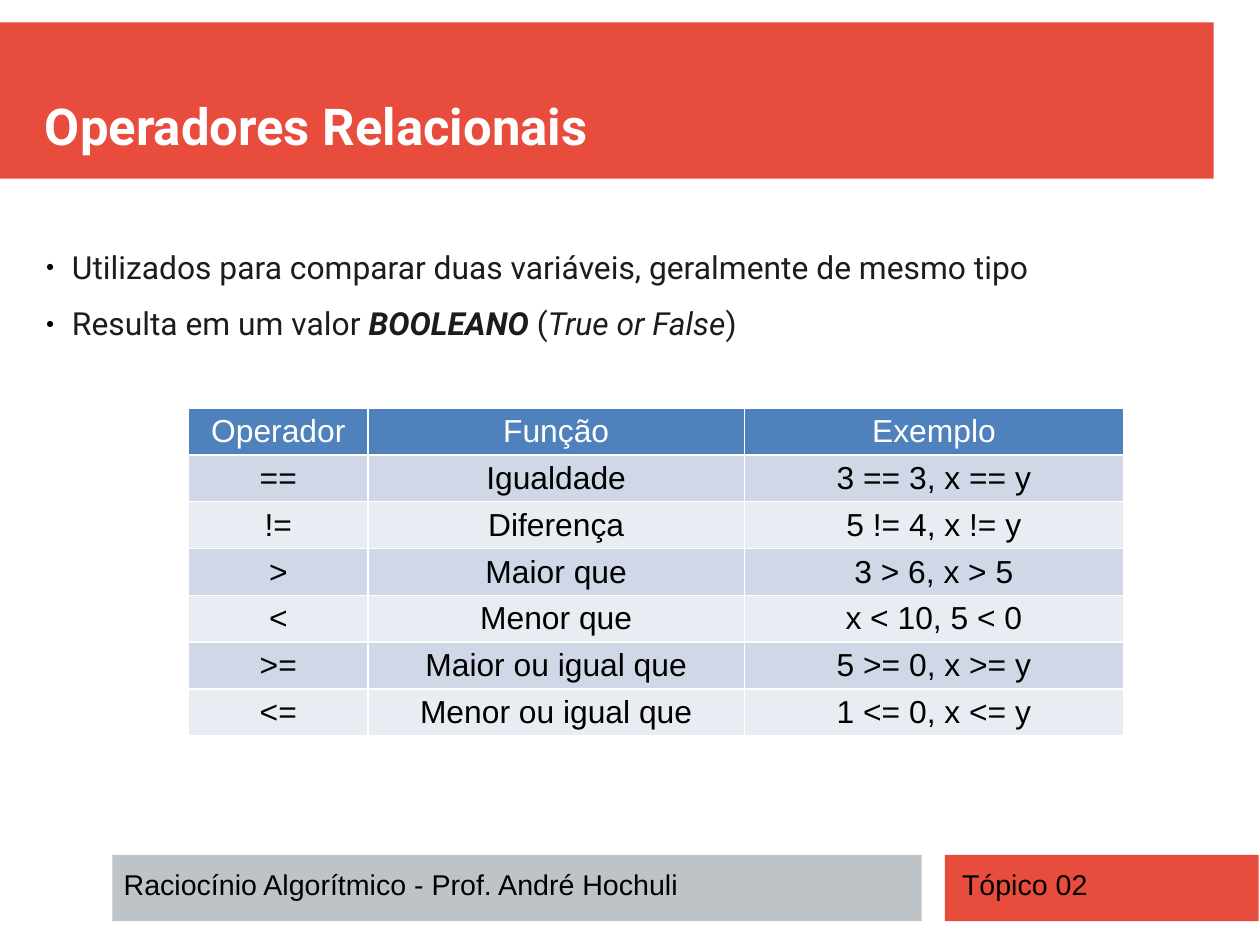
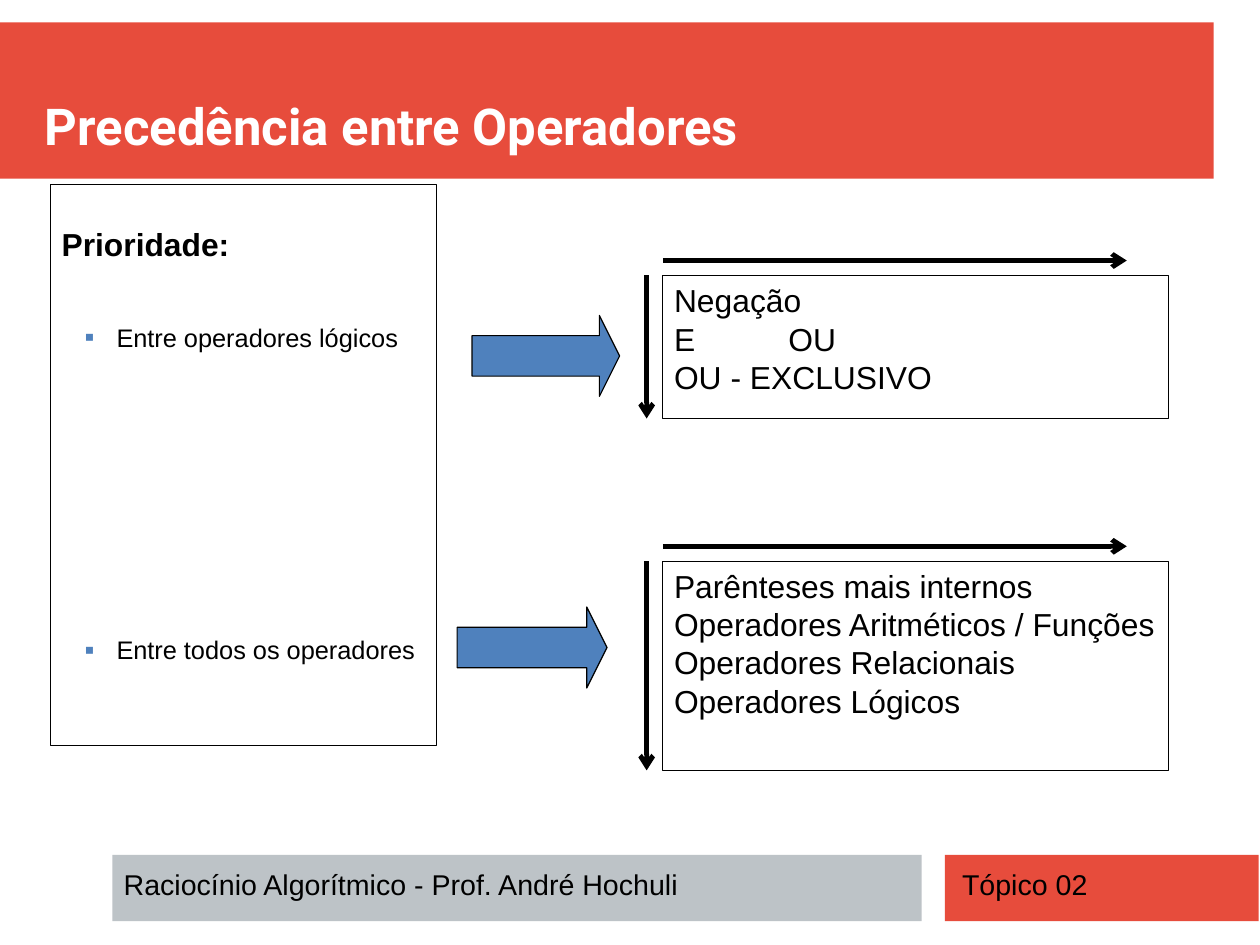
from dataclasses import dataclass

from lxml import etree
from pptx import Presentation
from pptx.dml.color import RGBColor
from pptx.enum.shapes import MSO_CONNECTOR, MSO_SHAPE
from pptx.enum.text import MSO_ANCHOR, MSO_AUTO_SIZE, PP_ALIGN
from pptx.oxml.ns import qn
from pptx.util import Cm, Pt

# Grid: one column or row is one centimetre
COLUMNS, ROWS = 28, 21
COLORS = {
    "red": "E74C3C", "gray": "BDC3C7", "blue": "4F81BD", "white": "FFFFFF",
    "black": "000000", "ink": "1C1C1C", "band_dark": "D0D8E7", "band_light": "E9ECF3",
}
RECTANGLE, RIGHT_ARROW = MSO_SHAPE.RECTANGLE, MSO_SHAPE.RIGHT_ARROW
STRAIGHT = MSO_CONNECTOR.STRAIGHT
TOP, MIDDLE, BOTTOM = MSO_ANCHOR.TOP, MSO_ANCHOR.MIDDLE, MSO_ANCHOR.BOTTOM
LEFT, CENTER = PP_ALIGN.LEFT, PP_ALIGN.CENTER
NO_AUTOFIT = MSO_AUTO_SIZE.NONE
TITLE_ONLY = 5


@dataclass(frozen=True)
class Area:
    column: float
    row: float
    columns: float
    rows: float

    def lengths(self) -> tuple:
        return tuple(Cm(n) for n in (self.column, self.row, self.columns, self.rows))


@dataclass(frozen=True)
class Style:
    size: float
    color: str = "black"
    font: str = "Arial"
    bold: bool = False
    italic: bool = False


@dataclass(frozen=True)
class Span:
    text: str
    bold: bool = False
    italic: bool = False


@dataclass(frozen=True)
class Bullet:
    symbol: str
    color: str
    percent: int
    margin: float
    hanging: float


@dataclass(frozen=True)
class Band:
    area: Area
    color: str
    text: str = ""
    inset: float = 0.25


@dataclass(frozen=True)
class Priority:
    area: Area
    arrow: Area
    lines: tuple


BANDS = (
    Band(Area(0, 0.5, 26.97, 3.47), "red"),
    Band(Area(21, 19, 6.97, 1.47), "red", "Tópico 02", 0.38),
    Band(Area(2.5, 19, 17.98, 1.47), "gray", "Raciocínio Algorítmico - Prof. André Hochuli"),
)
TITLE_AREA = Area(1, 1, 25.96, 2.46)
TITLE_STYLE = Style(32, "white", "Roboto", bold=True)
FOOTER_STYLE = Style(18)
BODY_STYLE = Style(20, "ink", "Roboto")
TEXT_STYLE = Style(20)
HEADING_STYLE = Style(20, bold=True)
ITEM_STYLE = Style(16)
DOT = Bullet("●", "black", 45, 0.6, 0.58)
SQUARE = Bullet("▪", "blue", 110, 1.22, 0.71)

STATEMENTS = (
    (Span("Utilizados para comparar duas variáveis, geralmente de mesmo tipo"),),
    (Span("Resulta em um valor "), Span("BOOLEANO", bold=True, italic=True),
     Span(" ("), Span("True or False", italic=True), Span(")")),
)
OPERATORS = (
    ("Operador", "Função", "Exemplo"),
    ("==", "Igualdade", "3 == 3, x == y"),
    ("!=", "Diferença", "5 != 4, x != y"),
    (">", "Maior que", "3 > 6, x > 5"),
    ("<", "Menor que", "x < 10, 5 < 0"),
    (">=", "Maior ou igual que", "5 >= 0, x >= y"),
    ("<=", "Menor ou igual que", "1 <= 0, x <= y"),
)
TABLE_WIDTHS = (3.99, 8.36, 8.43)
TABLE_ROW = 1.04

# Each item of the list, with the space before it in points
PRIORITY_ITEMS = (("Entre operadores lógicos", 37.5), ("Entre todos os operadores", 177.5))
PRIORITIES = (
    Priority(Area(14.73, 6.12, 11.23, 3.18), Area(10.49, 7.01, 3.28, 1.8),
             ("Negação", "E\tOU", "OU - EXCLUSIVO")),
    Priority(Area(14.73, 12.47, 11.23, 4.65), Area(10.16, 13.49, 3.33, 1.8),
             ("Parênteses mais internos", "Operadores Aritméticos / Funções",
              "Operadores Relacionais", "Operadores Lógicos")),
)


def rgb(name: str) -> RGBColor:
    return RGBColor.from_string(COLORS[name])


def add_child(parent, tag: str, **attributes):
    return etree.SubElement(parent, qn(tag), attributes)


# Text
def format_paragraph(para, style: Style, align=LEFT) -> None:
    para.alignment = align
    for span in para.runs:
        font = span.font
        font.name, font.size = style.font, Pt(style.size)
        font.bold, font.italic = style.bold, style.italic
        font.color.rgb = rgb(style.color)


def add_bullet(para, bullet: Bullet) -> None:
    properties = para._p.get_or_add_pPr()
    properties.set("marL", str(Cm(bullet.margin)))
    properties.set("indent", str(-Cm(bullet.hanging)))
    color = add_child(properties, "a:buClr")
    add_child(color, "a:srgbClr", val=COLORS[bullet.color])
    add_child(properties, "a:buSzPct", val=str(bullet.percent * 1000))
    add_child(properties, "a:buFont", typeface="Arial")
    add_child(properties, "a:buChar", char=bullet.symbol)


def add_tab(para, position: float) -> None:
    tabs = add_child(para._p.get_or_add_pPr(), "a:tabLst")
    add_child(tabs, "a:tab", pos=str(Cm(position)), algn="l")


def set_frame(frame, anchor=TOP, side: float = 0.25, top: float = 0.13) -> None:
    frame.word_wrap = True
    frame.auto_size = NO_AUTOFIT
    frame.vertical_anchor = anchor
    frame.margin_left = frame.margin_right = Cm(side)
    frame.margin_top, frame.margin_bottom = Cm(top), Cm(min(top, 0.13))


# Shapes
def add_box(page, area: Area, fill: str = "", line: float = 0, kind=RECTANGLE):
    box = page.shapes.add_shape(kind, *area.lengths())
    box.shadow.inherit = False
    if fill:
        box.fill.solid()
        box.fill.fore_color.rgb = rgb(fill)
    else:
        box.fill.background()
    if line:
        box.line.color.rgb = rgb("black")
        box.line.width = Pt(line)
    else:
        box.line.fill.background()
    return box


def add_arrow(page, column: float, row: float, columns: float = 0, rows: float = 0) -> None:
    ends = (column, row, column + columns, row + rows)
    arrow = page.shapes.add_connector(STRAIGHT, *(Cm(n) for n in ends))
    arrow.line.color.rgb = rgb("black")
    arrow.line.width = Pt(3)
    add_child(arrow.line._get_or_add_ln(), "a:tailEnd", type="arrow")
    add_child(arrow.element.spPr, "a:effectLst")


def add_page(deck, title: str):
    page = deck.slides.add_slide(deck.slide_layouts[TITLE_ONLY])
    # Bands and footers
    for band in BANDS:
        box = add_box(page, band.area, band.color)
        if band.text:
            set_frame(box.text_frame, side=band.inset, top=0.26)
            box.text_frame.text = band.text
            format_paragraph(box.text_frame.paragraphs[0], FOOTER_STYLE)
    # Title in front of its band
    box = page.shapes.title
    box.element.getparent().append(box.element)
    box.left, box.top, box.width, box.height = TITLE_AREA.lengths()
    box.text_frame.text = title
    set_frame(box.text_frame, BOTTOM, side=0, top=0)
    format_paragraph(box.text_frame.paragraphs[0], TITLE_STYLE)
    return page


# Table
def set_borders(cell) -> None:
    properties = cell._tc.get_or_add_tcPr()
    for index, side in enumerate(("a:lnL", "a:lnR", "a:lnT", "a:lnB")):
        line = etree.Element(qn(side), {"w": str(Pt(0.96))})
        fill = add_child(line, "a:solidFill")
        add_child(fill, "a:srgbClr", val=COLORS["white"])
        properties.insert(index, line)


def add_operator_table(page) -> None:
    area = Area(4.19, 9.07, sum(TABLE_WIDTHS), TABLE_ROW * len(OPERATORS))
    table = page.shapes.add_table(len(OPERATORS), len(TABLE_WIDTHS), *area.lengths()).table
    table.horz_banding = False
    for column, width in zip(table.columns, TABLE_WIDTHS):
        column.width = Cm(width)
    for index, texts in enumerate(OPERATORS):
        table.rows[index].height = Cm(TABLE_ROW)
        fill = "blue" if index == 0 else ("band_light", "band_dark")[index % 2]
        style = Style(20, "white" if index == 0 else "black")
        for cell, text in zip(table.rows[index].cells, texts):
            cell.text = text
            cell.vertical_anchor = MIDDLE
            cell.margin_top = cell.margin_bottom = Cm(0.1)
            cell.fill.solid()
            cell.fill.fore_color.rgb = rgb(fill)
            set_borders(cell)
            format_paragraph(cell.text_frame.paragraphs[0], style, CENTER)


# Slides
def build_relational(deck) -> None:
    page = add_page(deck, "Operadores Relacionais")
    add_operator_table(page)
    frame = page.shapes.add_textbox(*Area(1, 5.51, 25.48, 3).lengths()).text_frame
    set_frame(frame, side=0, top=0)
    for index, spans in enumerate(STATEMENTS):
        para = frame.add_paragraph() if index else frame.paragraphs[0]
        add_bullet(para, DOT)
        para.space_after = Pt(11.4)
        for part in spans:
            para.add_run().text = part.text
        format_paragraph(para, BODY_STYLE)
        for span, part in zip(para.runs, spans):
            span.font.bold, span.font.italic = part.bold, part.italic


def add_priority(page, priority: Priority) -> None:
    area = priority.area
    box = add_box(page, area, "white", 0.75)
    set_frame(box.text_frame)
    box.text_frame.text = "\n".join(priority.lines)
    for para in box.text_frame.paragraphs:
        if "\t" in para.text:
            add_tab(para, 2.54)
        format_paragraph(para, TEXT_STYLE)
    # Reading order along the top and the left side
    add_arrow(page, area.column, area.row - 0.33, columns=10.31)
    add_arrow(page, area.column - 0.36, area.row, rows=area.rows)
    pointer = add_box(page, priority.arrow, "blue", 0.75, RIGHT_ARROW)
    pointer.adjustments[0], pointer.adjustments[1] = 0.5, 0.25


def build_precedence(deck) -> None:
    page = add_page(deck, "Precedência entre Operadores")
    frame = add_box(page, Area(1.12, 4.09, 8.58, 12.47), line=0.5).text_frame
    set_frame(frame, top=0.9)
    frame.text = "Prioridade:"
    format_paragraph(frame.paragraphs[0], HEADING_STYLE)
    for text, space in PRIORITY_ITEMS:
        para = frame.add_paragraph()
        para.text = text
        add_bullet(para, SQUARE)
        para.space_before = Pt(space)
        format_paragraph(para, ITEM_STYLE)
    for priority in PRIORITIES:
        add_priority(page, priority)


def main() -> None:
    deck = Presentation()
    deck.slide_width, deck.slide_height = Cm(COLUMNS), Cm(ROWS)
    build_relational(deck)
    build_precedence(deck)
    deck.save("out.pptx")


if __name__ == "__main__":
    main()
